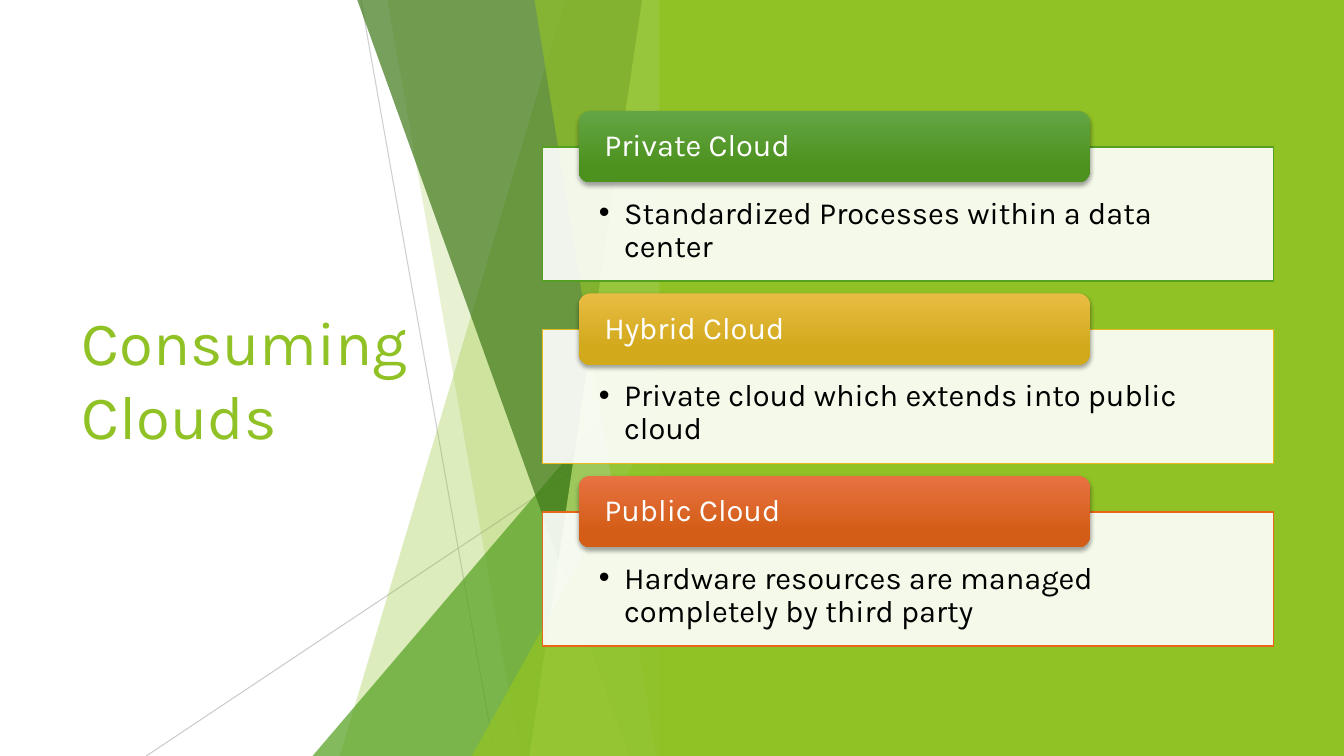
from dataclasses import dataclass

from lxml.etree import SubElement
from pptx import Presentation
from pptx.dml.color import RGBColor
from pptx.enum.shapes import MSO_CONNECTOR, MSO_SHAPE
from pptx.enum.text import MSO_ANCHOR, MSO_AUTO_SIZE, PP_ALIGN
from pptx.oxml.ns import qn
from pptx.util import Inches, Pt

FONT = "Karla"
WHITE = RGBColor(0xFF, 0xFF, 0xFF)
BLACK = RGBColor(0, 0, 0)
GRAY = RGBColor(0xBF, 0xBF, 0xBF)
LIME = RGBColor(0x90, 0xC2, 0x26)
PALE_LIME = RGBColor(0xC0, 0xE4, 0x74)
GREEN = RGBColor(0x54, 0xA0, 0x21)
DARK_GREEN = RGBColor(0x3F, 0x78, 0x19)
GOLD = RGBColor(0xE6, 0xB9, 0x1E)
ORANGE = RGBColor(0xE7, 0x66, 0x18)

SLIDE_W, SLIDE_H = 13.33, 7.5
FACET_RIGHT, FACET_TOP = 6.66, -0.01
CARD_TOP, CARD_STEP = 1.46, 1.81
LABEL_RISE = 0.36


@dataclass
class Ray:
    """A thin line across the facets."""
    start: tuple[float, float]
    end: tuple[float, float]
    opacity: int


@dataclass
class Facet:
    """A full-height panel with a slanted left edge."""
    top_x: float
    bottom_x: float
    color: RGBColor
    opacity: int


@dataclass
class Wedge:
    """A right triangle rising to the right."""
    left: float
    top: float
    color: RGBColor
    opacity: int


@dataclass
class Card:
    """A cloud type with its description and colours."""
    label: str
    text: str
    line: RGBColor
    light: RGBColor
    dark: RGBColor


RAYS = [
    Ray((3.58, 0), (4.91, 7.5), 75),
    Ray((6.66, 4.03), (1.45, 7.5), 80),
]
PANELS = [
    Facet(5.61, 3.37, LIME, 30),
    Facet(3.84, 5.16, LIME, 20),
    Wedge(3.1, 3.33, GREEN, 72),
    Facet(3.54, 6.24, DARK_GREEN, 70),
    Facet(6.37, 5.25, PALE_LIME, 70),
    Facet(5.3, 6.51, LIME, 65),
    Wedge(4.68, 3.93, LIME, 80),
]
CARDS = [
    Card("Private Cloud", "Standardized Processes within a data center", GREEN,
         RGBColor(0x63, 0xA5, 0x45), RGBColor(0x4D, 0x92, 0x1E)),
    Card("Hybrid Cloud", "Private cloud which extends into public cloud", GOLD,
         RGBColor(0xE7, 0xBC, 0x43), RGBColor(0xD2, 0xA9, 0x1B)),
    Card("Public Cloud", "Hardware resources are managed completely by third party",
         ORANGE, RGBColor(0xE8, 0x72, 0x42), RGBColor(0xD3, 0x5D, 0x16)),
]


def set_opacity(parent, percent: int) -> None:
    """Make the first colour inside parent partly transparent."""
    color = next(parent.iter(qn("a:srgbClr")))
    SubElement(color, qn("a:alpha"), val=str(percent * 1000))


def fill_solid(sp, color: RGBColor, opacity: int = 100) -> None:
    """Give a shape a flat fill without outline or shadow."""
    sp.shadow.inherit = False
    sp.fill.solid()
    sp.fill.fore_color.rgb = color
    sp.line.fill.background()
    if opacity < 100:
        set_opacity(sp.element.spPr, opacity)


def add_box(shapes, kind, left: float, top: float, width: float, height: float):
    """Add a preset shape measured in inches."""
    return shapes.add_shape(kind, Inches(left), Inches(top), Inches(width), Inches(height))


def add_ray(shapes, ray: Ray) -> None:
    """Draw one thin line."""
    points = [Inches(v) for v in (*ray.start, *ray.end)]
    line = shapes.add_connector(MSO_CONNECTOR.STRAIGHT, *points)
    line.line.color.rgb = GRAY
    line.line.width = Pt(0.75)
    set_opacity(line.element.spPr, ray.opacity)
    SubElement(line.element.spPr, qn("a:effectLst"))


def add_panel(shapes, panel: Facet | Wedge) -> None:
    """Draw one translucent facet or wedge."""
    if isinstance(panel, Wedge):
        sp = add_box(shapes, MSO_SHAPE.ISOSCELES_TRIANGLE, panel.left, panel.top,
                     FACET_RIGHT - panel.left, SLIDE_H - panel.top)
        sp.adjustments[0] = 1
    else:
        corners = [(panel.top_x, FACET_TOP), (FACET_RIGHT, FACET_TOP),
                   (FACET_RIGHT, SLIDE_H), (panel.bottom_x, SLIDE_H)]
        points = [(Inches(x), Inches(y)) for x, y in corners]
        builder = shapes.build_freeform(*points[0])
        builder.add_line_segments(points[1:], close=True)
        sp = builder.convert_to_shape()
    fill_solid(sp, panel.color, panel.opacity)


def write(sp, text: str, size: int, color: RGBColor, anchor=MSO_ANCHOR.MIDDLE,
          margins: tuple[float, ...] = (0.1, 0.05, 0.1, 0.05), spacing: float = 0.9):
    """Write left-aligned text in a shape and return its paragraph."""
    tf = sp.text_frame
    left, top, right, bottom = (Inches(m) for m in margins)
    frame_format = {
        "word_wrap": True, "auto_size": MSO_AUTO_SIZE.NONE, "vertical_anchor": anchor,
        "margin_left": left, "margin_top": top,
        "margin_right": right, "margin_bottom": bottom,
    }
    for name, value in frame_format.items():
        setattr(tf, name, value)
    p = tf.paragraphs[0]
    p.alignment = PP_ALIGN.LEFT
    p.line_spacing = spacing
    r = p.add_run()
    r.text = text
    for name, value in {"name": FONT, "size": Pt(size)}.items():
        setattr(r.font, name, value)
    r.font.color.rgb = color
    return p


def add_bullet(p) -> None:
    """Give a paragraph a hanging round bullet."""
    pPr = p._p.get_or_add_pPr()
    pPr.set("marL", str(Inches(0.25)))
    pPr.set("indent", str(Inches(-0.25)))
    SubElement(pPr, qn("a:buFont"), typeface="Arial")
    SubElement(pPr, qn("a:buChar"), char="\u2022")


def add_card(shapes, card: Card, top: float) -> None:
    """Draw a description box with its overlapping label."""
    box = add_box(shapes, MSO_SHAPE.RECTANGLE, 5.38, top, 7.25, 1.33)
    fill_solid(box, WHITE, 90)
    box.line.color.rgb = card.line
    box.line.width = Pt(1)
    add_bullet(write(box, card.text, 22, BLACK, MSO_ANCHOR.TOP, (0.56, 0.5, 0.56, 0.17)))

    label = add_box(shapes, MSO_SHAPE.ROUNDED_RECTANGLE, 5.74, top - LABEL_RISE, 5.07, 0.71)
    label.line.fill.background()
    label.fill.gradient()
    label.fill.gradient_angle = 270
    stops = zip(label.fill.gradient_stops, (0, 0.78), (card.light, card.dark))
    for stop, position, color in stops:
        stop.position = position
        stop.color.rgb = color
    label.shadow.inherit = False
    shadow = SubElement(label.element.spPr.find(qn("a:effectLst")), qn("a:outerShdw"),
                        blurRad=str(Pt(3)), dist=str(Pt(2)), dir="5400000", rotWithShape="0")
    SubElement(shadow, qn("a:srgbClr"), val=str(BLACK))
    set_opacity(shadow, 35)
    write(label, card.label, 22, WHITE, margins=(0.22, 0, 0.22, 0))


prs = Presentation()
prs.slide_width, prs.slide_height = Inches(SLIDE_W), Inches(SLIDE_H)
slide = prs.slides.add_slide(prs.slide_layouts[5])
slide.background.fill.solid()
slide.background.fill.fore_color.rgb = WHITE
shapes = slide.shapes

title = shapes.title
title_place = {"left": 0.71, "top": 1.51, "width": 3.88, "height": 4.48}
for side, length in title_place.items():
    setattr(title, side, Inches(length))
write(title, "Consuming Clouds", 44, LIME, spacing=1.0)

for ray in RAYS:
    add_ray(shapes, ray)
for panel in PANELS:
    add_panel(shapes, panel)
backdrop = add_box(shapes, MSO_SHAPE.RECTANGLE, 6.54, 0, SLIDE_W - 6.54, SLIDE_H)
fill_solid(backdrop, LIME)
for i, card in enumerate(CARDS):
    add_card(shapes, card, CARD_TOP + i * CARD_STEP)

prs.save("out.pptx")
